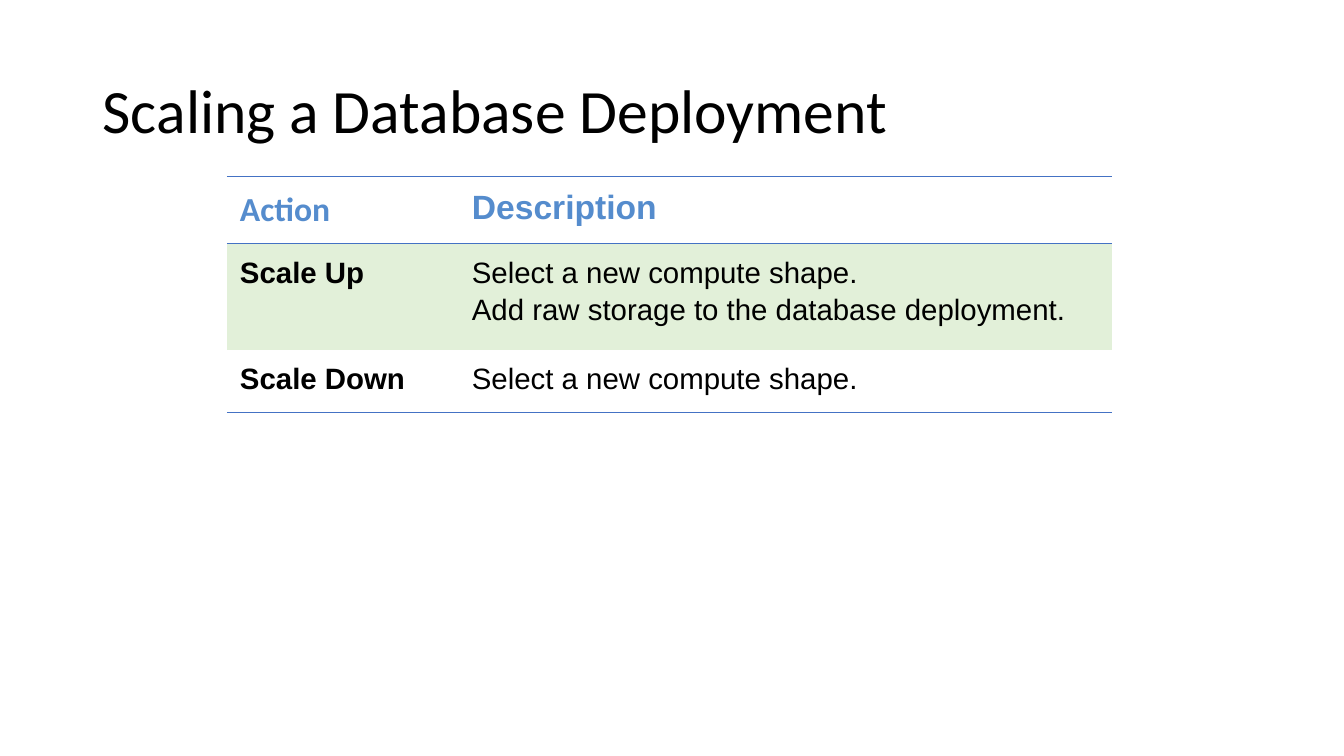
"""Build a slide with a table of the ways to scale a database deployment."""
from dataclasses import dataclass

from lxml.etree import SubElement
from pptx import Presentation
from pptx.dml.color import RGBColor
from pptx.enum.text import MSO_ANCHOR
from pptx.oxml import parse_xml
from pptx.oxml.ns import nsdecls, qn
from pptx.util import Inches, Pt


@dataclass(frozen=True)
class Theme:
    heading_font: str = "Calibri"
    body_font: str = "Arial"
    ink: str = "000000"
    accent: str = "558CCD"
    rule: str = "4472C4"
    band: str = "E2F0D9"
    title_size: int = 44
    header_size: int = 24
    body_size: int = 21
    gap: int = 3
    rule_width: int = 1
    cell_margin: float = 0.13
    table_style: str = "{2D5ABB26-0587-4C30-8999-92F81FD0307C}"


def write(tf, text, *, size, font, color, bold=False, gap=0, spacing=None):
    tf.word_wrap = True
    for i, line in enumerate(text.split("\n")):
        p = tf.add_paragraph() if i else tf.paragraphs[0]
        p.space_before = Pt(gap if i else 0)
        p.line_spacing = spacing
        r = p.add_run()
        r.text = line
        r.font.size = Pt(size)
        r.font.name = font
        r.font.bold = bold
        r.font.color.rgb = RGBColor.from_string(color)


class Builder:
    def __init__(self, prs, theme):
        self.theme = theme
        self.s = prs.slides.add_slide(prs.slide_layouts[6])

    def title(self, text, left, top, width, height):
        t = self.theme
        sp = self.s.shapes.add_textbox(*map(Inches, (left, top, width, height)))
        tf = sp.text_frame
        tf.vertical_anchor = MSO_ANCHOR.MIDDLE
        write(tf, text, size=t.title_size, font=t.heading_font, color=t.ink, spacing=0.9)

    def border(self, cell, *sides):
        t = self.theme
        tcPr = cell._tc.get_or_add_tcPr()
        for i, side in enumerate(sides):
            ln = parse_xml(f'<a:ln{side} {nsdecls("a")} w="{Pt(t.rule_width)}"/>')
            fill = SubElement(ln, qn("a:solidFill"))
            SubElement(fill, qn("a:srgbClr"), val=t.rule)
            tcPr.insert(i, ln)

    def cell(self, cell, text, *, band=False, sides=(), **style):
        t = self.theme
        margin = Inches(t.cell_margin)
        cell.margin_left = cell.margin_right = margin
        cell.margin_top = cell.margin_bottom = margin
        if band:
            cell.fill.solid()
            cell.fill.fore_color.rgb = RGBColor.from_string(t.band)
        else:
            cell.fill.background()
        self.border(cell, *sides)
        write(cell.text_frame, text, gap=t.gap, **style)

    def table(self, rows, left, top, widths, heights):
        t = self.theme
        box = map(Inches, (left, top, sum(widths), sum(heights)))
        table = self.s.shapes.add_table(len(rows), len(widths), *box).table
        table.first_row = table.horz_banding = False
        table._tbl.tblPr.find(qn("a:tableStyleId")).text = t.table_style
        for column, width in zip(table.columns, widths):
            column.width = Inches(width)
        for row, height in zip(table.rows, heights):
            row.height = Inches(height)
        last = len(rows) - 1
        for i, row in enumerate(rows):
            header = i == 0
            sides = "TB" if header else "B" if i == last else ""
            for j, text in enumerate(row):
                self.cell(
                    table.cell(i, j), text, band=i % 2 == 1, sides=sides,
                    size=t.header_size if header else t.body_size,
                    font=t.heading_font if header and j == 0 else t.body_font,
                    color=t.accent if header else t.ink,
                    bold=header or j == 0)


prs = Presentation()
prs.slide_width, prs.slide_height = Inches(13.33), Inches(7.5)
slide = Builder(prs, Theme())
slide.title("Scaling a Database Deployment", 0.92, 0.4, 11.5, 1.45)
slide.table(
    [("Action", "Description"),
     ("Scale Up", "Select a new compute shape.\nAdd raw storage to the database deployment."),
     ("Scale Down", "Select a new compute shape.")],
    2.25, 1.75, widths=(2.3, 6.48), heights=(0.67, 1.05, 0.62))
prs.save("out.pptx")
